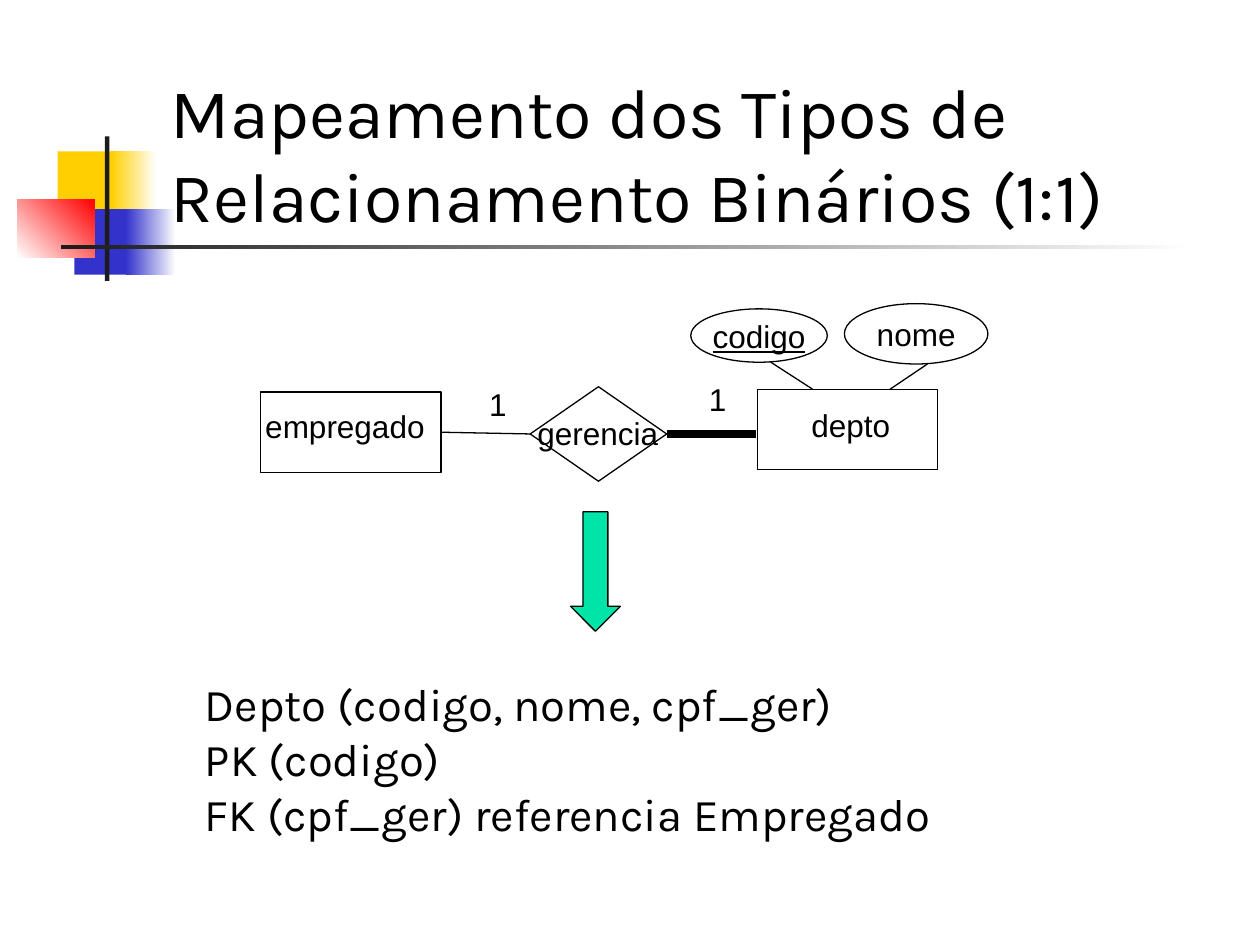
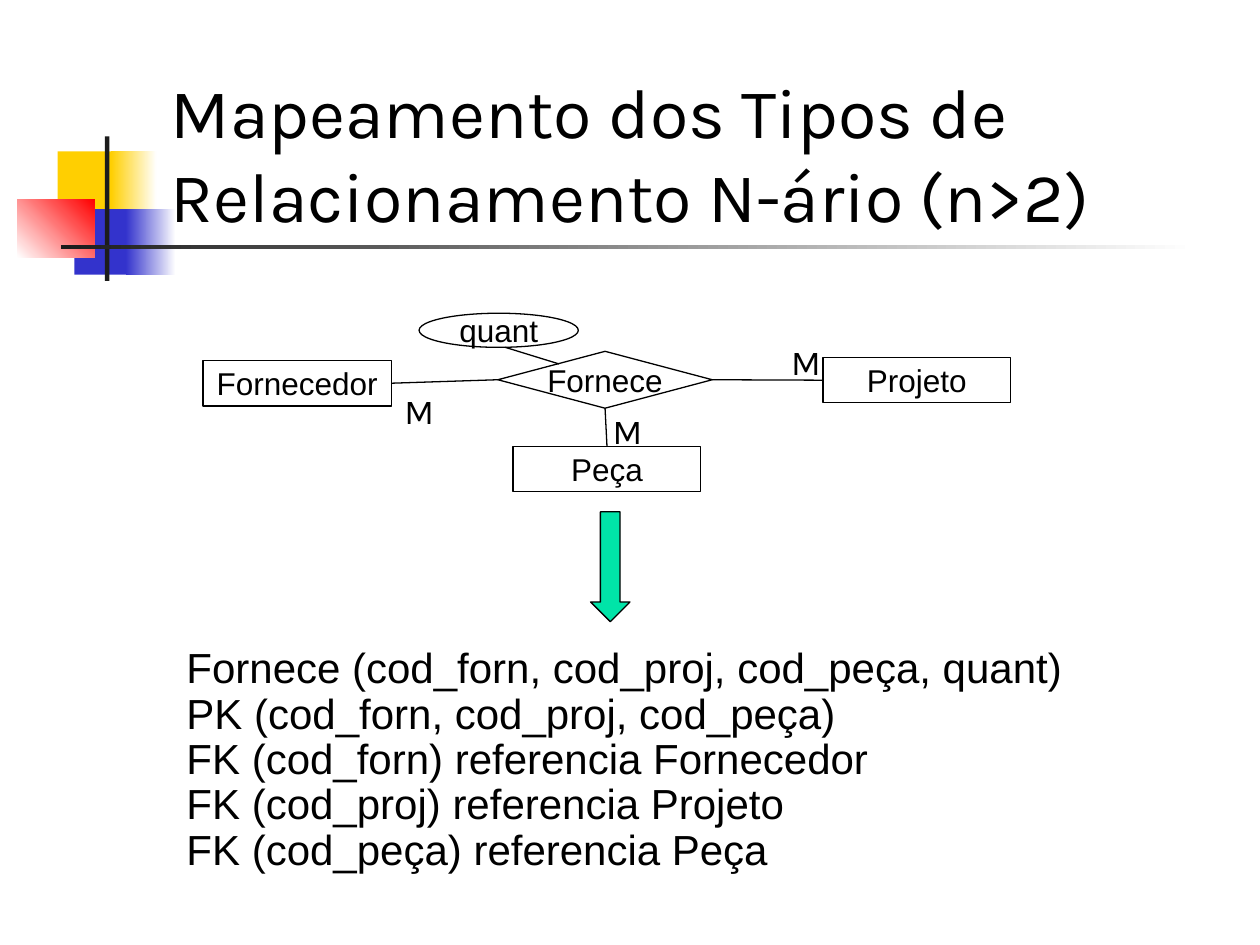
from pptx import Presentation
from pptx.dml.color import RGBColor
from pptx.enum import shapes as kinds, text as txt
from pptx.oxml.ns import qn
from pptx.util import Pt
from lxml import etree

# Colours and fonts
BLACK = RGBColor(0, 0, 0)
WHITE = RGBColor(255, 255, 255)
INK = RGBColor(0x1C, 0x1C, 0x1C)
GOLD = RGBColor(0xFF, 0xCF, 0x01)
BLUE = RGBColor(0x33, 0x33, 0xCC)
RED = RGBColor(0xFF, 0, 0)
GREEN = RGBColor(0, 0xE4, 0xA8)
SANS, HEAD = "Arial", "Karla"

KIND = kinds.MSO_SHAPE
RECT, OVAL, RHOMB = KIND.RECTANGLE, KIND.OVAL, KIND.FLOWCHART_DECISION
TOP, LEFT, BOTTOM, RIGHT = range(4)
TITLE = (90.5, 48.5, 613.5, 90)
THIN, THICK = 0.75, 5

# Corner motif and rule: box, colours, gradient angle
DECOR = [
    ((33, 86.5, 34.5, 37.5), [GOLD], 0),
    ((63.5, 86.5, 26, 37.5), [GOLD, WHITE], 0),
    ((42.5, 119.5, 33, 37.5), [BLUE], 0),
    ((72, 119.5, 28.5, 37.5), [BLUE, WHITE], 0),
    ((10, 113.75, 44, 33.5), [WHITE, RED], 45),
    ((60, 78, 2.5, 82.5), [INK], 0),
    ((35, 140, 648, 2.5), [INK, WHITE], 0),
]

# Nodes: name: (kind, box, inner text, underline); a link end is a node side or a point
SLIDES = [
    dict(
        title="Mapeamento dos Tipos de Relacionamento Binários (1:1)",
        nodes={
            "empregado": (RECT, (149, 224, 103, 46), "", False),
            "depto": (RECT, (432.75, 222.5, 103, 46), "", False),
            "gerencia": (RHOMB, (303, 221, 78, 54), "", False),
            "codigo": (OVAL, (394.75, 176.5, 78, 30.5), "codigo", True),
            "nome": (OVAL, (482.5, 173.5, 82, 34.5), "nome", False),
        },
        links=[
            (("empregado", RIGHT), ("gerencia", LEFT), THIN),
            (("gerencia", RIGHT), (432, 248), THICK),
            ((530, 208), (508.5, 222.5), THIN),
            ((440.5, 207), (464.5, 222.5), THIN),
        ],
        marks=[
            ("empregado", (144.5, 229, 105, 29)),
            ("depto", (456.5, 228.5, 59, 29)),
            ("gerencia", (300, 233, 83.5, 29)),
            ("1", (272.5, 216.5, 24.5, 29)),
            ("1", (398, 213.5, 24.5, 29)),
        ],
        mark=dict(size=18, font=SANS),
        arrow=(326, 292.5, 28.5, 68.25),
        body=["Depto (codigo, nome, cpf_ger)", "PK (codigo)",
              "FK (cpf_ger) referencia Empregado"],
        area=(110, 383, 487.5, 101),
        form=dict(size=26, font=HEAD, wrap=True),
    ),
    dict(
        title="Mapeamento dos Tipos de Relacionamento N-ário (n>2)",
        nodes={
            "forn": (RECT, (116, 206, 107.75, 26), "Fornecedor", False),
            "peca": (RECT, (293.25, 255, 107.25, 26), "Peça", False),
            "proj": (RECT, (470.25, 204.25, 107.25, 26), "Projeto", False),
            "fornece": (RHOMB, (284.5, 200.75, 122.5, 32.5), "Fornece", False),
            "quant": (OVAL, (239.5, 179, 91, 19.5), "quant", False),
        },
        links=[
            (("fornece", LEFT), ("forn", RIGHT), THIN),
            (("fornece", BOTTOM), ("peca", TOP), THIN),
            (("proj", LEFT), ("fornece", RIGHT), THIN),
            ((288.75, 198.5), (319.5, 208), THIN),
        ],
        marks=[
            ("M", (445, 191, 28, 31.5)),
            ("M", (224, 219, 28, 31.5)),
            ("M", (343, 230.5, 28, 31.5)),
        ],
        mark=dict(size=20, font=HEAD, wrap=True),
        arrow=(337.5, 292.5, 22.5, 62.75),
        body=["Fornece (cod_forn, cod_proj, cod_peça, quant)",
              "PK (cod_forn, cod_proj, cod_peça)",
              "FK (cod_forn) referencia Fornecedor",
              "FK (cod_proj) referencia Projeto",
              "FK (cod_peça) referencia Peça"],
        area=(99.5, 366.5, 537, 137),
        form=dict(size=24, font=SANS, wrap=True, space=0.9),
    ),
]


def pts(box):
    return [Pt(v) for v in box]


def write(shape, lines, size=18, font=SANS, align=txt.PP_ALIGN.LEFT,
          anchor=txt.MSO_ANCHOR.TOP, wrap=False, under=None, space=None):
    frame = shape.text_frame
    frame.text = "\n".join(lines)
    frame.auto_size = txt.MSO_AUTO_SIZE.NONE
    frame.word_wrap = wrap
    frame.vertical_anchor = anchor
    for para in frame.paragraphs:
        para.alignment = align
        if space:
            para.line_spacing = space
        for run in para.runs:
            face = run.font
            face.size, face.name, face.underline = Pt(size), font, under
            face.color.rgb = BLACK


def draw(slide, kind, box, fills=(), line=None, turn=0):
    shape = slide.shapes.add_shape(kind, *pts(box))
    shape.shadow.inherit = False
    if len(fills) == 2:
        shape.fill.gradient()
        shape.fill.gradient_angle = turn
        for stop, tone in zip(shape.fill.gradient_stops, fills):
            stop.color.rgb = tone
    elif fills:
        shape.fill.solid()
        shape.fill.fore_color.rgb = fills[0]
    else:
        shape.fill.background()
    if line:
        shape.line.color.rgb = BLACK
        shape.line.width = Pt(line)
    else:
        shape.line.fill.background()
    return shape


def label(slide, lines, box, **form):
    write(slide.shapes.add_textbox(*pts(box)), lines, **form)


def link(slide, made, start, end, width):
    spots = [(0, 0) if p[0] in made else p for p in (start, end)]
    wire = slide.shapes.add_connector(
        kinds.MSO_CONNECTOR.STRAIGHT, *pts(spots[0] + spots[1]))
    for point, join in ((start, wire.begin_connect), (end, wire.end_connect)):
        if point[0] in made:
            join(made[point[0]], point[1])
    wire.line.color.rgb = BLACK
    wire.line.width = Pt(width)
    etree.SubElement(wire.element.spPr, qn("a:effectLst"))


def adorn(slide, layout):
    """Draw the motif once and hand it to the layout, behind its text."""
    tree = layout.shapes.element
    for at, (box, fills, turn) in enumerate(DECOR, 2):
        tree.insert(at, draw(slide, RECT, box, fills, turn=turn).element)


def build(slide, data):
    # Title
    title = slide.shapes.title
    title.left, title.top, title.width, title.height = pts(TITLE)
    write(title, [data["title"]], size=40, font=HEAD,
          anchor=txt.MSO_ANCHOR.BOTTOM, wrap=True)

    # Diagram
    made = {}
    for name, (kind, box, word, under) in data["nodes"].items():
        made[name] = draw(slide, kind, box, [WHITE], THIN)
        if word:
            write(made[name], [word], align=txt.PP_ALIGN.CENTER,
                  anchor=txt.MSO_ANCHOR.MIDDLE, under=under)
    for start, end, width in data["links"]:
        link(slide, made, start, end, width)
    for word, box in data["marks"]:
        label(slide, [word], box, **data["mark"])

    # Resulting schema
    draw(slide, KIND.DOWN_ARROW, data["arrow"], [GREEN], THIN)
    label(slide, data["body"], data["area"], **data["form"])


def main():
    deck = Presentation()
    deck.slide_width, deck.slide_height = Pt(720), Pt(540)
    layout = deck.slide_layouts.get_by_name("Title Only")
    for num, data in enumerate(SLIDES):
        slide = deck.slides.add_slide(layout)
        if num == 0:
            adorn(slide, layout)
        build(slide, data)
    deck.save("out.pptx")


if __name__ == "__main__":
    main()
